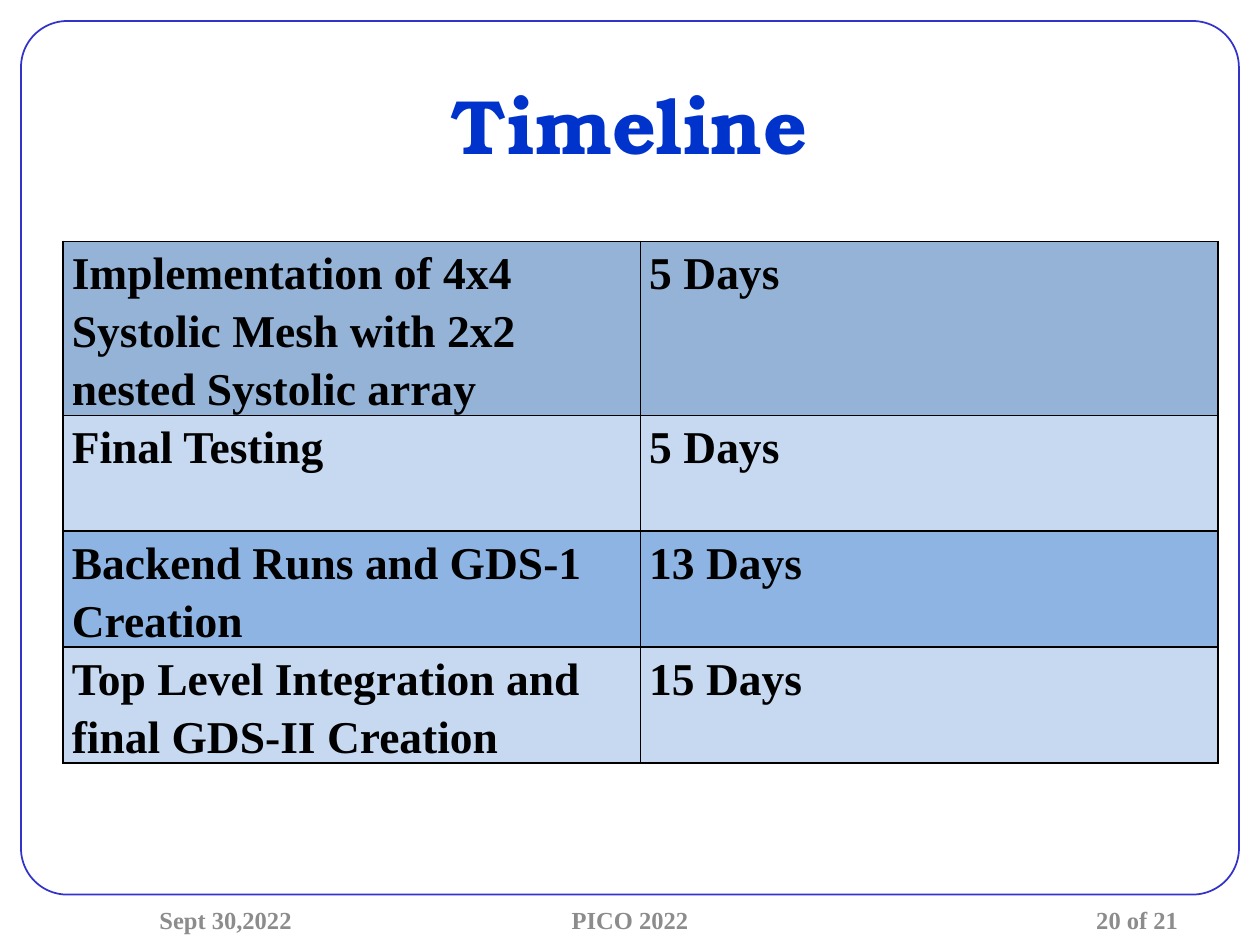
from dataclasses import dataclass

from lxml import etree
from pptx import Presentation
from pptx.dml.color import RGBColor
from pptx.enum.shapes import MSO_SHAPE
from pptx.enum.text import MSO_ANCHOR, PP_ALIGN
from pptx.oxml.ns import qn
from pptx.util import Inches, Pt

LEFT, MID, RIGHT, JUST = PP_ALIGN.LEFT, PP_ALIGN.CENTER, PP_ALIGN.RIGHT, PP_ALIGN.JUSTIFY
MIDDLE = MSO_ANCHOR.MIDDLE
ROUND = MSO_SHAPE.ROUNDED_RECTANGLE
SERIF, SLAB = "Times New Roman", "TeX Gyre Bonum"
COLORS = {
    "title": "0033CC", "frame": "3333CC", "foot": "8C8C8C", "ink": "000000",
    "steel": "95B3D7", "pale": "C6D9F1", "sky": "8EB4E3",
}
# The page is a grid of 60 columns and 45 rows
COLS, ROWS = 60, 45
WIDE, HIGH = Inches(10), Inches(7.5)


@dataclass
class Task:
    name: str
    time: str
    fill: str
    lines: int


@dataclass
class Foot:
    text: str
    col: int
    span: int
    align: PP_ALIGN
    inset: float = 0.1


TASKS = [
    Task("Implementation of 4x4 Systolic Mesh with 2x2 nested Systolic array",
         "5 Days", "steel", 3),
    Task("Final Testing", "5 Days", "pale", 2),
    Task("Backend Runs and GDS-1 Creation", "13 Days", "sky", 2),
    Task("Top Level Integration and final GDS-II Creation", "15 Days", "pale", 2),
]
FEET = [
    Foot("Sept 30,2022", 7, 10, LEFT),
    Foot("PICO 2022", 20.5, 19, MID),
    Foot("20 of 21", 43, 14, RIGHT, 0.15),
]


def color(name: str) -> RGBColor:
    return RGBColor.from_string(COLORS[name])


def box(col: float, row: float, wide: float, high: float) -> tuple:
    """Turn grid units into left, top, width and height."""
    return (int(WIDE * col / COLS), int(HIGH * row / ROWS),
            int(WIDE * wide / COLS), int(HIGH * high / ROWS))


def style(para, face: str, size: float, ink: str, align: PP_ALIGN) -> None:
    para.alignment = align
    font = para.font
    font.name, font.size, font.bold = face, Pt(size), True
    font.color.rgb = color(ink)


def add_frame(slide) -> None:
    frame = slide.shapes.add_shape(ROUND, *box(1, 1, 58, 41.6))
    frame.adjustments[0] = 0.053
    frame.shadow.inherit = False
    frame.fill.background()
    frame.line.color.rgb = color("frame")
    frame.line.width = Pt(1)
    slide.shapes.element.insert(2, frame.element)


def add_title(slide, text: str) -> None:
    title = slide.shapes.title
    title.left, title.top, title.width, title.height = box(0, 2.4, COLS, 7)
    title.text_frame.text = text
    title.text_frame.vertical_anchor = MIDDLE
    style(title.text_frame.paragraphs[0], SLAB, 44, "title", MID)


def add_foot(slide, foot: Foot) -> None:
    frame = slide.shapes.add_textbox(*box(foot.col, 42.6, foot.span, 2.4)).text_frame
    frame.word_wrap = True
    frame.vertical_anchor = MIDDLE
    frame.margin_right = Inches(foot.inset)
    frame.text = foot.text
    style(frame.paragraphs[0], SERIF, 14, "foot", foot.align)


def add_edges(cell) -> None:
    props = cell._tc.get_or_add_tcPr()
    for side in ("lnL", "lnR", "lnT", "lnB"):
        line = etree.SubElement(props, qn(f"a:{side}"), w=str(Pt(1)))
        fill = etree.SubElement(line, qn("a:solidFill"))
        etree.SubElement(fill, qn("a:srgbClr"), val=COLORS["ink"])


def fill_cell(cell, text: str, fill: str, align: PP_ALIGN) -> None:
    add_edges(cell)
    cell.fill.solid()
    cell.fill.fore_color.rgb = color(fill)
    cell.margin_left = cell.margin_right = Inches(0.07)
    cell.margin_top = cell.margin_bottom = 0
    cell.text = text
    para = cell.text_frame.paragraphs[0]
    para.line_spacing = 1.15
    style(para, SERIF, 26, "ink", align)


def add_tasks(slide, tasks: list[Task]) -> None:
    step = Inches(0.46)  # height of one text line
    high = sum(task.lines for task in tasks) * step
    left, top, wide, _ = box(3, 11.5, 55, 0)
    table = slide.shapes.add_table(len(tasks), 2, left, top, wide, high).table
    for index, task in enumerate(tasks):
        table.rows[index].height = task.lines * step
        fill_cell(table.cell(index, 0), task.name, task.fill, LEFT)
        fill_cell(table.cell(index, 1), task.time, task.fill, JUST)


def main() -> None:
    deck = Presentation()
    deck.slide_width, deck.slide_height = WIDE, HIGH
    slide = deck.slides.add_slide(deck.slide_layouts[5])

    # Frame and heading
    add_frame(slide)
    add_title(slide, "Timeline")

    # Schedule
    add_tasks(slide, TASKS)

    # Footer
    for foot in FEET:
        add_foot(slide, foot)

    deck.save("out.pptx")


if __name__ == "__main__":
    main()
